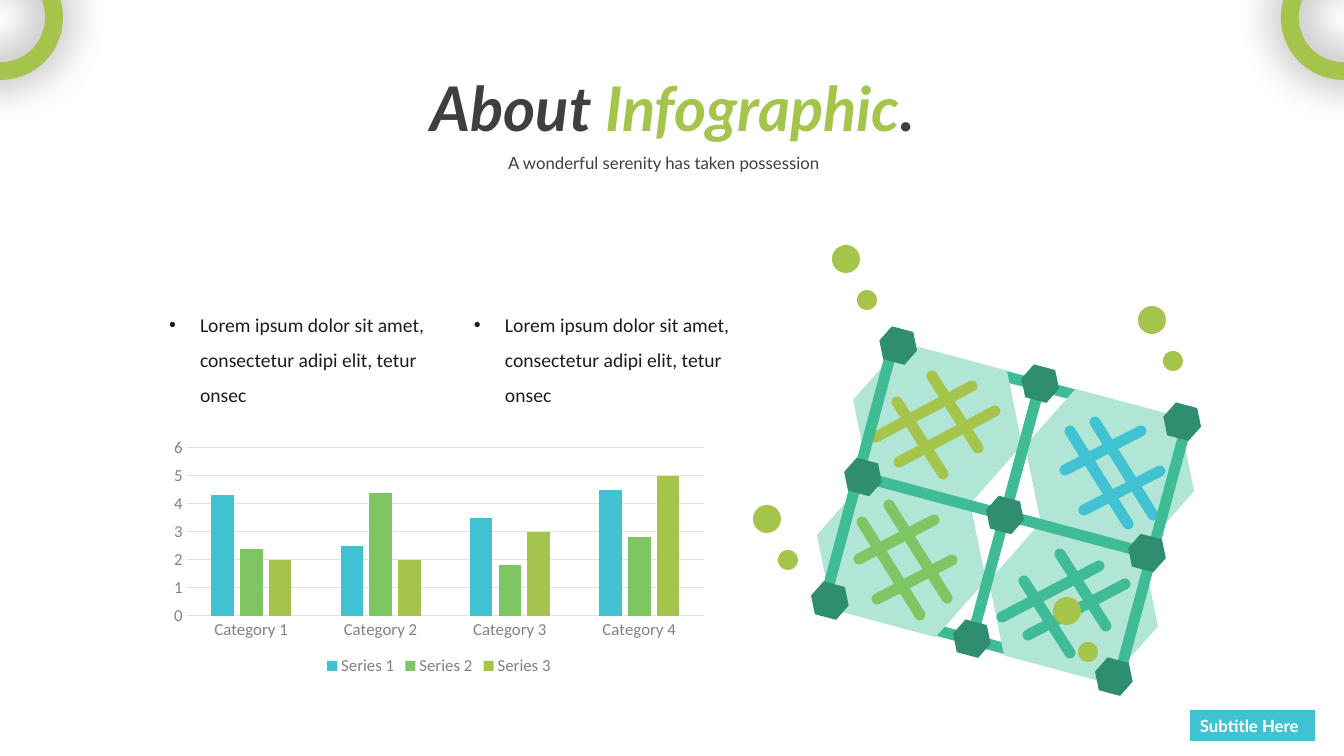
from math import atan2, cos, degrees, hypot, radians, sin

from lxml import etree
from pptx import Presentation
from pptx.chart.data import CategoryChartData
from pptx.dml.color import RGBColor
from pptx.enum.chart import XL_CHART_TYPE, XL_LEGEND_POSITION, XL_TICK_MARK
from pptx.enum.shapes import MSO_SHAPE
from pptx.enum.text import MSO_ANCHOR, MSO_AUTO_SIZE, PP_ALIGN
from pptx.oxml.ns import qn
from pptx.util import Pt

COLUMNS = XL_CHART_TYPE.COLUMN_CLUSTERED
LEGEND_BOTTOM = XL_LEGEND_POSITION.BOTTOM
NO_TICK = XL_TICK_MARK.NONE
HEXAGON, ELLIPSE, DONUT = MSO_SHAPE.HEXAGON, MSO_SHAPE.OVAL, MSO_SHAPE.DONUT
RECTANGLE, ROUNDED = MSO_SHAPE.RECTANGLE, MSO_SHAPE.ROUNDED_RECTANGLE
TOP, NO_FIT = MSO_ANCHOR.TOP, MSO_AUTO_SIZE.NONE
LEFT, CENTER = PP_ALIGN.LEFT, PP_ALIGN.CENTER

EMU_PER_PX = 914400 / 100.8
COLORS = {
    "dark": "3F3F3F", "ink": "181E20", "axis": "828282", "grid": "E2E2E2",
    "blue": "40C2D2", "green": "7EC564", "lime": "A5C44B", "teal": "3FBC96",
    "mint": "B1E5D5", "joint": "2F8D70", "white": "FFFFFF", "black": "000000",
}
TILT = 15
ROD = 11  # thickness of every rod and rail

LOREM = "Lorem ipsum dolor sit amet, consectetur adipi elit, tetur onsec"
CATEGORIES = ["Category 1", "Category 2", "Category 3", "Category 4"]
SERIES = [
    ("Series 1", "blue", (4.3, 2.5, 3.5, 4.5)),
    ("Series 2", "green", (2.4, 4.4, 1.8, 2.8)),
    ("Series 3", "lime", (2, 2, 3, 5)),
]
# color, steep direction, its starts, flat direction, its starts; relative to the illustration
HASHES = [
    ("green", (58, 93), [(109, 277), (136, 260)], (75, -39), [(106, 314), (124, 354)]),
    ("teal", (46, 72), [(307, 309), (271, 336)], (97, -51), [(275, 390), (249, 372)]),
    ("lime", (46, 72), [(179, 131), (144, 157)], (96, -51), [(146, 217), (123, 192)]),
    ("blue", (58, 93), [(317, 186), (342, 177)], (76, -39), [(312, 225), (331, 265)]),
]
DOT_PAIRS = [(79, 0), (385, 61), (0, 260), (300, 352)]


def px(length):
    return round(length * EMU_PER_PX)


def rgb(name):
    return RGBColor.from_string(COLORS[name])


def style(font, size, color, face="Calibri", bold=False, italic=False):
    font.name, font.size = face, Pt(size)
    font.bold, font.italic = bold, italic
    font.color.rgb = rgb(color)


def place(shape, left, top, width, height):
    shape.left, shape.top = px(left), px(top)
    shape.width, shape.height = px(width), px(height)


def add_plain(slide, preset, box, color, angle=0):
    shape = slide.shapes.add_shape(preset, *map(px, box))
    shape.shadow.inherit = False
    shape.fill.solid()
    shape.fill.fore_color.rgb = rgb(color)
    shape.line.fill.background()
    shape.rotation = angle
    return shape


def add_centered(slide, preset, center, size, color, angle):
    (x, y), (width, height) = center, size
    return add_plain(slide, preset, (x - width / 2, y - height / 2, width, height), color, angle)


def add_rod(slide, center, length, color, angle):
    rod = add_centered(slide, ROUNDED, center, (length, ROD), color, angle)
    rod.adjustments[0] = 0.5


def add_hash(slide, left, top, color, steep, steep_starts, flat, flat_starts):
    for (dx, dy), starts in ((steep, steep_starts), (flat, flat_starts)):
        for x, y in starts:
            center = (left + x + dx / 2, top + y + dy / 2)
            add_rod(slide, center, hypot(dx, dy) + ROD, color, degrees(atan2(dy, dx)))


def add_lattice(slide, left, top):
    """Tilted two-by-two window with a hash in each pane."""
    turn = radians(TILT)

    def tilted(x, y):
        return (left + 252 + x * cos(turn) - y * sin(turn),
                top + 270 + x * sin(turn) + y * cos(turn))

    def add_level_rail(y):
        add_rod(slide, tilted(1, y), 306, "teal", TILT)

    for y in (129, -134):
        add_level_rail(y)
    for y in (-72, 68):
        for x in (89, -89):
            add_centered(slide, HEXAGON, tilted(x, y), (175, 136), "mint", TILT)
    for hash_parts in HASHES:
        add_hash(slide, left, top, *hash_parts)
    add_level_rail(0)
    for x in (0, 152, -152):
        add_rod(slide, tilted(x, -4), 298, "teal", TILT + 90)
    for y in (-136, 0, 128):
        for x in (-147, 0, 147):
            add_centered(slide, HEXAGON, tilted(x, y), (39, 34), "joint", TILT)


def add_illustration(slide, left, top):
    add_lattice(slide, left, top)
    for x, y in DOT_PAIRS:
        for offset_x, offset_y, size in ((0, 0, 28), (25, 45, 20)):
            box = (left + x + offset_x, top + y + offset_y, size, size)
            add_plain(slide, ELLIPSE, box, "lime")


def add_series_chart(slide, left, top, width, height):
    data = CategoryChartData()
    data.categories = CATEGORIES
    for name, _, values in SERIES:
        data.add_series(name, values)
    box = map(px, (left, top, width, height))
    chart = slide.shapes.add_chart(COLUMNS, *box, data).chart
    chart.has_title = False
    style(chart.font, 12, "axis")
    chart.has_legend = True
    chart.legend.position = LEGEND_BOTTOM
    chart.legend.include_in_layout = False
    style(chart.legend.font, 12, "axis")

    plot = chart.plots[0]
    plot.gap_width, plot.overlap = 219, -27
    plot.vary_by_categories = False
    for series, (_, color, _) in zip(plot.series, SERIES):
        series.format.fill.solid()
        series.format.fill.fore_color.rgb = rgb(color)

    values, categories = chart.value_axis, chart.category_axis
    values.minimum_scale, values.maximum_scale, values.major_unit = 0, 6, 1
    values.has_major_gridlines = True
    for axis in (values, categories):
        axis.major_tick_mark = axis.minor_tick_mark = NO_TICK
        style(axis.tick_labels.font, 12, "axis")
    values.format.line.fill.background()
    for line in (values.major_gridlines.format.line, categories.format.line):
        line.color.rgb = rgb("grid")
        line.width = Pt(0.75)


def fill_heading(slide, left, top, width):
    title = slide.shapes.title
    place(title, left, top, width, 85)
    title.text_frame.vertical_anchor = TOP
    title.text_frame.auto_size = NO_FIT
    heading = title.text_frame.paragraphs[0]
    heading.alignment = CENTER
    style(heading.font, 44, "dark", "Lato", bold=True, italic=True)
    for words, color in (("About ", "dark"), ("Infographic", "lime"), (".", "dark")):
        run = heading.add_run()
        run.text = words
        run.font.color.rgb = rgb(color)

    tagline_box = map(px, (left + 202, top + 73, 446, 37))
    frame = slide.shapes.add_textbox(*tagline_box).text_frame
    frame.word_wrap = True
    tagline = frame.paragraphs[0]
    tagline.text = "A wonderful serenity has taken possession"
    tagline.alignment = CENTER
    tagline.line_spacing = 1.5
    style(tagline.font, 12, "dark", "Lato")


def fill_bullet(placeholder, left, top):
    place(placeholder, left, top, 264, 103)
    frame = placeholder.text_frame
    frame.margin_left = frame.margin_right = frame.margin_top = frame.margin_bottom = 0
    frame.auto_size, frame.vertical_anchor = NO_FIT, TOP
    item = frame.paragraphs[0]
    item.text = LOREM
    item.alignment = LEFT
    item.line_spacing, item.space_before = 1.5, Pt(0)
    properties = item._p.get_or_add_pPr()
    properties.set("marL", str(px(31)))
    properties.set("indent", str(px(-31)))
    etree.SubElement(properties, qn("a:buChar"), char="•")
    style(item.font, 14, "ink")


def add_corner_ring(slide, left, top):
    ring = add_plain(slide, DONUT, (left, top, 125, 125), "lime")
    ring.adjustments[0] = 0.142
    effects = ring._element.spPr.find(qn("a:effectLst"))
    shadow = etree.SubElement(effects, qn("a:outerShdw"), blurRad=str(Pt(33)), dist="0",
                              dir="0", algn="ctr", rotWithShape="0")
    color = etree.SubElement(shadow, qn("a:srgbClr"), val=COLORS["black"])
    etree.SubElement(color, qn("a:alpha"), val="49000")


def add_footer_tag(slide, left, top):
    frame = add_plain(slide, RECTANGLE, (left, top, 125, 31), "blue").text_frame
    frame.word_wrap = False
    label = frame.paragraphs[0]
    label.text = "Subtitle Here"
    label.alignment = LEFT
    style(label.font, 12, "white", "Lato", bold=True)


def main():
    deck = Presentation()
    deck.slide_width, deck.slide_height = px(1344), px(756)
    slide = deck.slides.add_slide(deck.slide_layouts[3])
    add_illustration(slide, 753, 245)
    add_series_chart(slide, 163, 433, 552, 247)
    for index, left in ((1, 169), (2, 474)):
        fill_bullet(slide.placeholders[index], left, 301)
    fill_heading(slide, 239, 65, 867)
    add_footer_tag(slide, 1190, 710)
    for left in (-62, 1281):
        add_corner_ring(slide, left, -45)
    deck.save("out.pptx")


if __name__ == "__main__":
    main()
